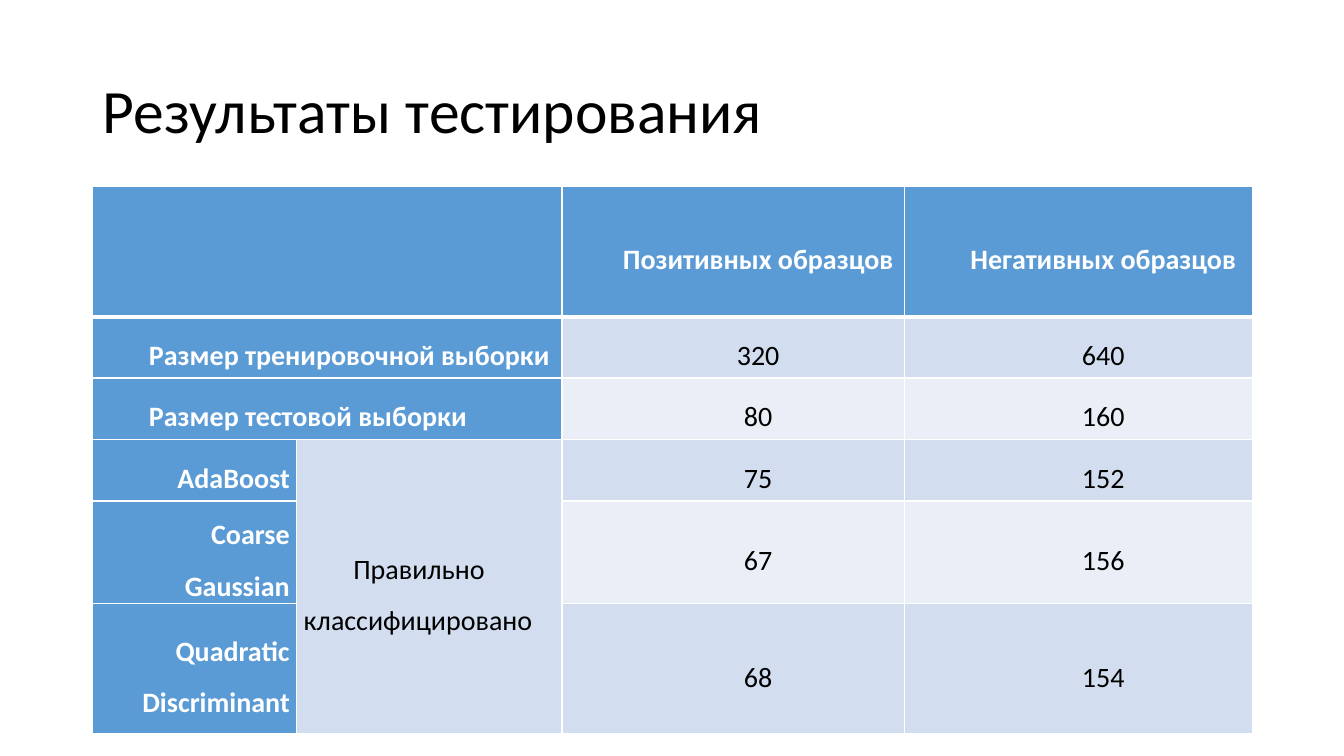
from lxml import etree
from pptx import Presentation
from pptx import util as u
from pptx.dml import color
from pptx.enum import text
from pptx.oxml import ns

ALIGN = text.PP_ALIGN
HEADER_FILL = "5B9BD5"
BAND_FILLS = ("EAEFF7", "D2DEEF")
COLUMN_WIDTHS = (146, 189.5, 244.8, 248.2)
ROW_HEIGHTS = (93, 43.9, 43.9, 43.9, 73.4, 93)
MERGES = (((0, 0), (0, 1)), ((1, 0), (1, 1)), ((2, 0), (2, 1)), ((3, 1), (5, 1)))
ROWS = (
    ("", "", "Позитивных образцов", "Негативных образцов"),
    ("Размер тренировочной выборки", "", "320", "640"),
    ("Размер тестовой выборки", "", "80", "160"),
    ("AdaBoost", "Правильно классифицировано", "75", "152"),
    ("Coarse Gaussian", "", "67", "156"),
    ("Quadratic Discriminant", "", "68", "154"),
)


def rgb(value):
    return color.RGBColor.from_string(value)


class SlideBuilder:
    font = "Calibri"

    def __init__(self, presentation):
        self.slide = presentation.slides.add_slide(presentation.slide_layouts[5])

    def format_text(self, paragraph, size, hex_color, bold, align, spacing):
        paragraph.alignment = align
        paragraph.line_spacing = spacing
        for run in paragraph.runs:
            run.font.name = self.font
            run.font.size = u.Pt(size)
            run.font.bold = bold
            run.font.color.rgb = rgb(hex_color)

    def title(self, wording, left, top, width, height):
        shape = self.slide.shapes.title
        shape.left, shape.top, shape.width, shape.height = map(
            u.Pt, (left, top, width, height))
        frame = shape.text_frame
        frame.text = wording
        frame.word_wrap = True
        frame.auto_size = text.MSO_AUTO_SIZE.NONE
        frame.vertical_anchor = text.MSO_ANCHOR.MIDDLE
        self.format_text(frame.paragraphs[0], 44, "000000", False, ALIGN.LEFT, 0.9)

    def borders(self, cell, **widths):
        """Draw white cell borders; widths maps L, R, T, B to points."""
        properties = cell._tc.get_or_add_tcPr()
        for side, width in widths.items():
            line = etree.SubElement(
                properties, ns.qn(f"a:ln{side}"), w=str(u.Pt(width)))
            fill = etree.SubElement(line, ns.qn("a:solidFill"))
            etree.SubElement(fill, ns.qn("a:srgbClr"), val="FFFFFF")

    def cell(self, cell, wording, fill, hex_color, bold, align):
        cell.fill.solid()
        cell.fill.fore_color.rgb = rgb(fill)
        cell.vertical_anchor = text.MSO_ANCHOR.MIDDLE
        cell.margin_left = cell.margin_right = u.Pt(5)
        cell.margin_top = cell.margin_bottom = 0
        if wording:
            cell.text_frame.text = wording
            paragraph = cell.text_frame.paragraphs[0]
            self.format_text(paragraph, 20, hex_color, bold, align, 1.5)
            paragraph.space_after = u.Pt(6)
            paragraph._p.get_or_add_pPr().set("indent", str(u.Pt(35.4)))

    def table(self, rows, left, top):
        frame = self.slide.shapes.add_table(
            len(rows), len(COLUMN_WIDTHS), u.Pt(left), u.Pt(top),
            u.Pt(sum(COLUMN_WIDTHS)), u.Pt(sum(ROW_HEIGHTS)))
        table = frame.table
        for column, width in zip(table.columns, COLUMN_WIDTHS):
            column.width = u.Pt(width)
        for row, height in zip(table.rows, ROW_HEIGHTS):
            row.height = u.Pt(height)
        for start, end in MERGES:
            table.cell(*start).merge(table.cell(*end))
        for i, row in enumerate(rows):
            for j, wording in enumerate(row):
                heading = i == 0 or j == 0
                if i == 0 or j > 1:
                    align = ALIGN.CENTER
                elif j == 0 and i > 2:
                    align = ALIGN.RIGHT
                else:
                    align = ALIGN.JUSTIFY
                cell = table.cell(i, j)
                self.borders(cell, L=1, R=1, T=3 if i == 1 else 1,
                             B=3 if i == 0 else 1)
                self.cell(cell, wording,
                          HEADER_FILL if heading else BAND_FILLS[i % 2],
                          "FFFFFF" if heading else "000000", heading, align)


def main():
    presentation = Presentation()
    presentation.slide_width = u.Pt(960)
    presentation.slide_height = u.Pt(540)
    builder = SlideBuilder(presentation)
    builder.title("Результаты тестирования", 66, 28.8, 828, 104.4)
    builder.table(ROWS, 66, 133.2)
    presentation.save("out.pptx")


if __name__ == "__main__":
    main()
